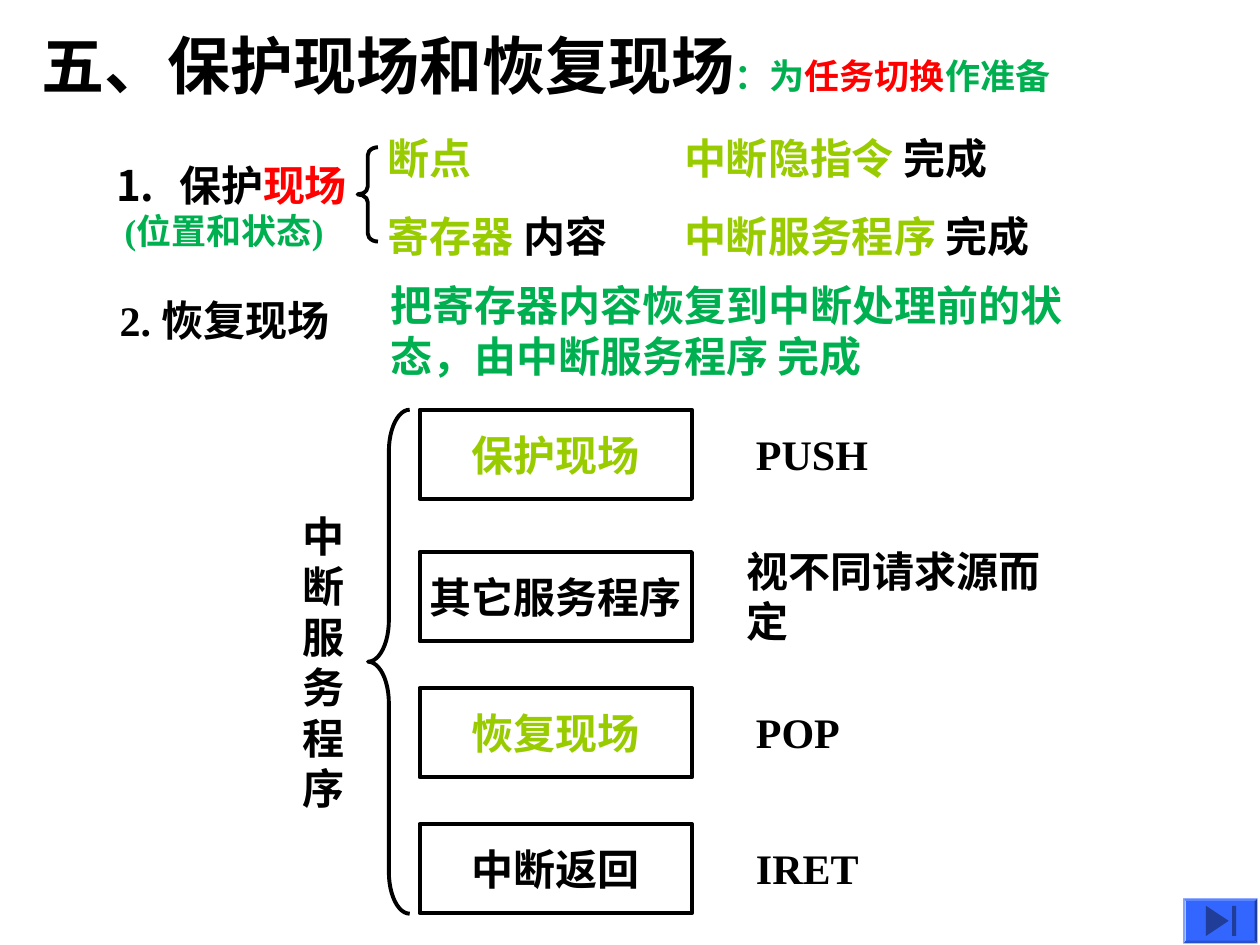
from pptx import Presentation
from pptx.dml.color import RGBColor as RGB
from pptx.enum.shapes import MSO_SHAPE as Form
from pptx.enum.text import MSO_ANCHOR as Anchor, PP_ALIGN as Align
from pptx.oxml.ns import qn
from pptx.util import Cm, Pt
from lxml.etree import SubElement as Sub

BLACK = RGB(0x00, 0x00, 0x00)
GREEN = RGB(0x00, 0xB0, 0x50)
LIME = RGB(0x99, 0xCC, 0x00)
RED = RGB(0xFF, 0x00, 0x00)
BLUE = RGB(0x33, 0x66, 0xFF)
NAVY = RGB(0x1F, 0x3D, 0x99)


class Page:
    font = "Times New Roman"
    size = 24
    line = 2.25

    def __init__(self, slide):
        self.shapes = slide.shapes

    def fill(self, frame, paras, side=0.0, anchor=Anchor.MIDDLE, wrap=False, align=None):
        frame.margin_left = frame.margin_right = Cm(side)
        frame.margin_top = frame.margin_bottom = Cm(0.13)
        frame.vertical_anchor = anchor
        frame.word_wrap = wrap
        for i, runs in enumerate(paras):
            para = frame.add_paragraph() if i else frame.paragraphs[0]
            para.alignment = align
            para.font.name = self.font
            para.font.bold = True
            for text, color, *size in runs:
                run = para.add_run()
                run.text = text
                run.font.color.rgb = color
                run.font.size = Pt(size[0] if size else self.size)

    def text(self, x, y, w, h, *paras, **style):
        box = self.shapes.add_textbox(Cm(x), Cm(y), Cm(w), Cm(h))
        self.fill(box.text_frame, paras, **style)
        return box.text_frame

    def form(self, kind, x, y, w, h):
        shape = self.shapes.add_shape(kind, Cm(x), Cm(y), Cm(w), Cm(h))
        shape.shadow.inherit = False
        return shape

    def edge(self, shape):
        shape.fill.background()
        shape.line.color.rgb = BLACK
        shape.line.width = Pt(self.line)

    def step(self, x, y, w, h, text, color):
        rect = self.form(Form.RECTANGLE, x, y, w, h)
        self.edge(rect)
        self.fill(rect.text_frame, [[(text, color)]], align=Align.CENTER)

    def brace(self, x, y, w, h, curve):
        brace = self.form(Form.LEFT_BRACE, x, y, w, h)
        self.edge(brace)
        brace.adjustments[0] = curve

    def paint(self, shape, color):
        shape.fill.solid()
        shape.fill.fore_color.rgb = color
        shape.line.fill.background()

    def poly(self, points, color):
        first, *rest = [(Cm(x), Cm(y)) for x, y in points]
        pen = self.shapes.build_freeform(*first)
        pen.add_line_segments(rest)
        shape = pen.convert_to_shape()
        shape.shadow.inherit = False
        self.paint(shape, color)

    def button(self, x, y, w, h):
        bevel = self.form(Form.BEVEL, x, y, w, h)
        bevel.adjustments[0] = 0.06
        self.paint(bevel, BLUE)
        top, mid, low = y + 0.15, y + h / 2, y + h - 0.15
        self.poly([(x + 0.46, top), (x + 0.92, mid), (x + 0.46, low)], NAVY)
        self.paint(self.form(Form.RECTANGLE, x + 0.99, top, 0.08, low - top), NAVY)

    def number(self, para):
        props = para._p.get_or_add_pPr()
        props.set("marL", str(Cm(1.27)))
        props.set("indent", str(Cm(-1.27)))
        tint = Sub(props, qn("a:buClr"))
        Sub(tint, qn("a:srgbClr"), val=str(BLACK))
        Sub(props, qn("a:buFont"), typeface="+mj-lt")
        Sub(props, qn("a:buAutoNum"), type="arabicPeriod")
        para.font.name = self.font


def main():
    deck = Presentation()
    deck.slide_width, deck.slide_height = Cm(25.4), Cm(19.05)
    page = Page(deck.slides.add_slide(deck.slide_layouts[6]))

    page.text(0.84, 0.64, 21.56, 1.3, [
        ("五、保护现场和恢复现场", BLACK, 36), ("：为", GREEN, 20),
        ("任务切换", RED, 20), ("作准备", GREEN, 20)])

    save = page.text(2.34, 3.18, 4.88, 1.93,
                     [("保护", BLACK), ("现场", RED)],
                     [(" (位置和状态)", GREEN, 20)])
    page.number(save.paragraphs[0])
    page.brace(7.21, 2.97, 0.41, 1.9, 0.39)
    page.text(7.82, 2.54, 2.74, 1.27, [("断点", LIME)])
    page.text(7.82, 4.01, 5.51, 1.47, [("寄存器 ", LIME), ("内容", BLACK)])
    page.text(13.54, 2.54, 9.09, 1.27, [("中断隐指令 ", LIME), ("完成", BLACK)],
              side=0.25, anchor=Anchor.TOP, wrap=True)
    page.text(13.79, 4.01, 10.59, 1.47, [("中断服务程序 ", LIME), ("完成", BLACK)])

    page.text(2.41, 5.72, 5.08, 1.47, [("2. 恢复现场", BLACK)])
    page.text(7.62, 5.51, 14.6, 2.29,
              [("把寄存器内容恢复到中断处理前的状态，由中断服务程序 完成", GREEN)],
              side=0.25, anchor=Anchor.TOP, wrap=True)

    page.text(5.84, 10.16, 1.35, 6.35, *[[(char, BLACK)] for char in "中断服务程序"],
              side=0.25, anchor=Anchor.TOP)
    page.brace(7.42, 8.26, 0.84, 10.16, 1)
    steps = [
        (8.26, "保护现场", LIME, 15.24, "PUSH"),
        (11.13, "其它服务程序", BLACK, 15.04, "视不同请求源而定"),
        (13.87, "恢复现场", LIME, 15.24, "POP"),
        (16.61, "中断返回", BLACK, 15.24, "IRET"),
    ]
    for y, name, color, x, note in steps:
        page.step(8.46, y, 5.49, 1.8, name, color)
        page.text(x, y + 0.15, 6.2, 1.47, [(note, BLACK)])

    page.button(23.85, 18.11, 1.5, 0.91)
    deck.save("out.pptx")


if __name__ == "__main__":
    main()
